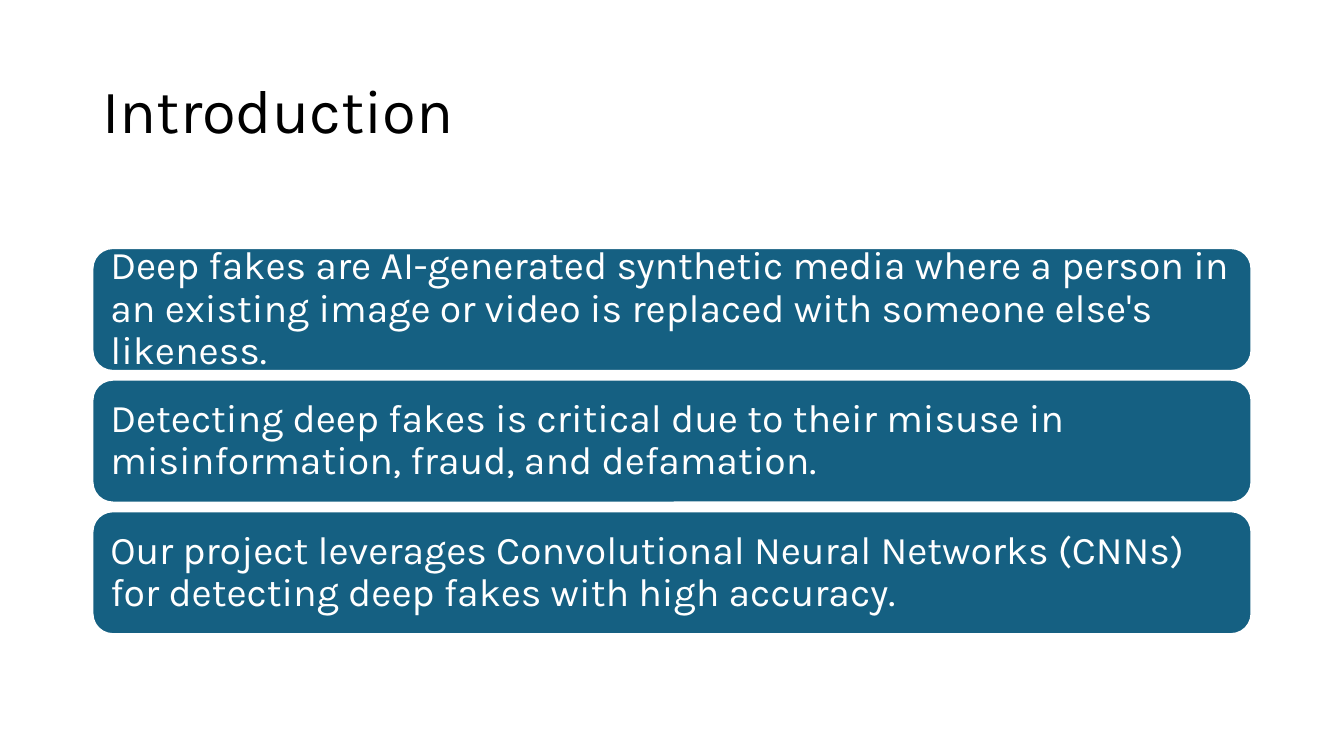
from pptx import Presentation
from pptx import util as u
from pptx.dml.color import RGBColor
from pptx.enum import shapes, text

BLACK = RGBColor(0x00, 0x00, 0x00)
WHITE = RGBColor(0xFF, 0xFF, 0xFF)
TEAL = RGBColor(0x15, 0x60, 0x82)
FONT = "Karla"

POINTS = [
    "Deep fakes are AI-generated synthetic media where a person in an existing "
    "image or video is replaced with someone else's likeness.",
    "Detecting deep fakes is critical due to their misuse in misinformation, "
    "fraud, and defamation.",
    "Our project leverages Convolutional Neural Networks (CNNs) for detecting "
    "deep fakes with high accuracy.",
]


def add_text(sp, words, size, color):
    tf = sp.text_frame
    tf.word_wrap = True
    tf.auto_size = text.MSO_AUTO_SIZE.NONE
    tf.vertical_anchor = text.MSO_ANCHOR.MIDDLE
    p = tf.paragraphs[0]
    p.alignment = text.PP_ALIGN.LEFT
    p.line_spacing = 0.9
    r = p.add_run()
    r.text = words
    r.font.name = FONT
    r.font.size = u.Pt(size)
    r.font.color.rgb = color


def add_title(s, words, left, top, width, height):
    sp = s.shapes.title
    sp.left, sp.top, sp.width, sp.height = left, top, width, height
    add_text(sp, words, 44, BLACK)


def add_bars(s, points, left, top, width, height, gap):
    """Stack one rounded bar per point, evenly filling the given box."""
    bar_height = (height - gap * (len(points) - 1)) // len(points)
    for i, point in enumerate(points):
        sp = s.shapes.add_shape(
            shapes.MSO_SHAPE.ROUNDED_RECTANGLE,
            left, top + i * (bar_height + gap), width, bar_height)
        sp.shadow.inherit = False
        sp.fill.solid()
        sp.fill.fore_color.rgb = TEAL
        sp.line.color.rgb = WHITE
        sp.line.width = u.Pt(1.5)
        tf = sp.text_frame
        tf.margin_left = tf.margin_right = u.Cm(0.3)
        tf.margin_top = tf.margin_bottom = u.Cm(0.3)
        add_text(sp, point, 28, WHITE)


def main():
    prs = Presentation()
    prs.slide_width, prs.slide_height = u.Cm(33.87), u.Cm(19.05)
    s = prs.slides.add_slide(prs.slide_layouts[5])
    left, width = u.Cm(2.33), u.Cm(29.21)

    # Title
    add_title(s, "Introduction", left, u.Cm(1.01), width, u.Cm(3.68))

    # Key points
    add_bars(s, POINTS, left, u.Cm(6.25), width, u.Cm(9.73), u.Cm(0.22))

    prs.save("out.pptx")


if __name__ == "__main__":
    main()
